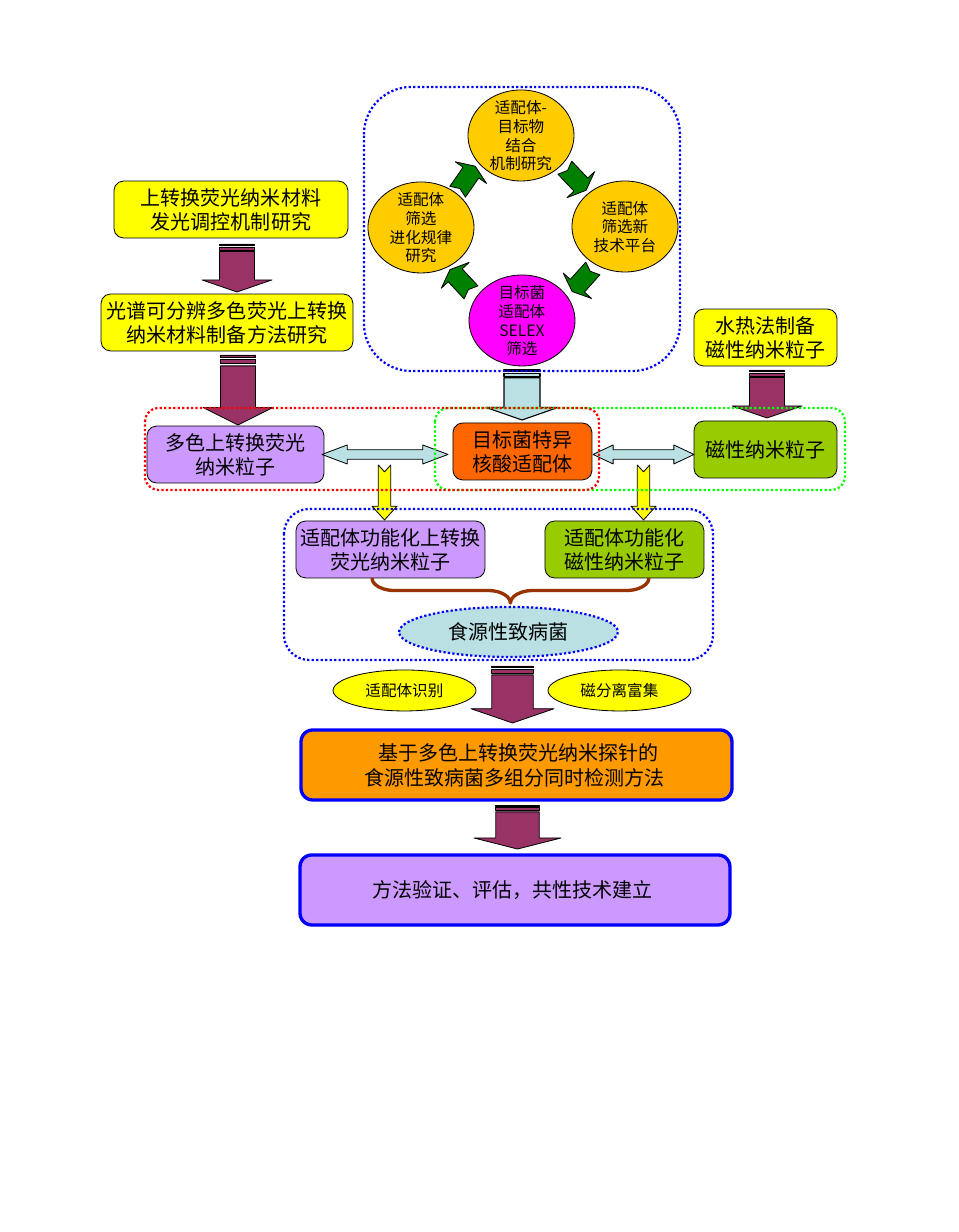
from pptx import Presentation
from pptx.dml.color import RGBColor
from pptx.enum.dml import MSO_LINE
from pptx.enum.shapes import MSO_SHAPE
from pptx.enum.text import MSO_ANCHOR, PP_ALIGN
from pptx.util import Emu, Pt

ROUND_BOX, OVAL = MSO_SHAPE.ROUNDED_RECTANGLE, MSO_SHAPE.OVAL
STRIPED, NOTCHED = MSO_SHAPE.STRIPED_RIGHT_ARROW, MSO_SHAPE.NOTCHED_RIGHT_ARROW
DOUBLE_ARROW, BRACE = MSO_SHAPE.LEFT_RIGHT_ARROW, MSO_SHAPE.LEFT_BRACE
DOTTED = MSO_LINE.ROUND_DOT
CENTER, MIDDLE = PP_ALIGN.CENTER, MSO_ANCHOR.MIDDLE

FONT = "Noto Sans CJK SC"
EMU_PER_PIXEL = 914400 / 80.1
SLIDE_SIZE = (959, 1232)
BLACK, BLUE, RED, LIME = "000000", "0000FF", "FF0000", "00FF00"
YELLOW, GOLD, ORANGE, DEEP_ORANGE = "FFFF00", "FFCC00", "FF9900", "FF6600"
LILAC, MAGENTA, PLUM, BROWN = "CC99FF", "FF00FF", "993366", "993300"
OLIVE, GREEN, PALE_BLUE = "99CC00", "008000", "BBE0E3"
THIN, MEDIUM, THICK = 0.74, 2, 3

CYCLE_SIZE, BOX_HEIGHT, LABEL_SIZE, RESULT_HEIGHT = (106, 91), 57, (143, 41), 70
CYCLE_ARROW_SIZE, MERGE_ARROW_SIZE = (31, 38), (25, 55)

# left, top, fill, text
CYCLE_STEPS = [
    (572, 181, GOLD, "适配体\n筛选新\n技术平台"),
    (469, 275, MAGENTA, "目标菌\n适配体\nSELEX\n筛选"),
    (368, 182, GOLD, "适配体\n筛选\n进化规律\n研究"),
    (468, 90, GOLD, "适配体-\n目标物\n结合\n机制研究"),
]
LABELS = [
    (548, 670, YELLOW, "磁分离富集"),
    (333, 670, YELLOW, "适配体识别"),
]
# left, top, width, fill, text
BOXES = [
    (453, 423, 139, DEEP_ORANGE, "目标菌特异\n核酸适配体"),
    (694, 421, 143, OLIVE, "磁性纳米粒子"),
    (545, 521, 159, OLIVE, "适配体功能化\n磁性纳米粒子"),
    (296, 521, 189, LILAC, "适配体功能化上转换\n荧光纳米粒子"),
    (147, 426, 177, LILAC, "多色上转换荧光\n纳米粒子"),
    (114, 181, 234, YELLOW, "上转换荧光纳米材料\n发光调控机制研究"),
    (101, 294, 252, YELLOW, "光谱可分辨多色荧光上转换\n纳米材料制备方法研究"),
    (694, 309, 143, YELLOW, "水热法制备\n磁性纳米粒子"),
]
RESULTS = [
    (301, 730, 431, ORANGE, " 基于多色上转换荧光纳米探针的\n食源性致病菌多组分同时检测方法 "),
    (300, 855, 430, LILAC, "方法验证、评估，共性技术建立 "),
]
PATHOGEN = ((399, 607, 219, 50), "食源性致病菌")
# left, top, rotation
CYCLE_ARROWS = [(560, 160, 46.7), (445, 262, 227.2), (567, 261, 131.9), (451, 160, 304.7)]
# box as seen on the slide, fill, line width
STEP_ARROWS = [
    ((486, 370, 72, 50), PALE_BLUE, 1),
    ((471, 666, 83, 57), PLUM, THIN),
    ((474, 805, 87, 44), PLUM, THIN),
    ((202, 244, 70, 48), PLUM, THIN),
    ((203, 355, 70, 70), PLUM, THIN),
    ((732, 370, 70, 48), PLUM, THIN),
]
MERGE_ARROWS = [(372, 465), (631, 465)]
# box, head length relative to height
LINK_ARROWS = [((593, 445, 101, 19), 1.06), ((322, 445, 126, 19), 1.33)]
BRACE_BOX = (372, 578, 277, 25)
FRAMES = [
    ((364, 87, 316, 284), BLUE),
    ((435, 408, 410, 82), LIME),
    ((284, 509, 429, 151), BLUE),
    ((145, 408, 454, 82), RED),
]


def pixels(value):
    """Turn pixels into EMU."""
    return Emu(round(value * EMU_PER_PIXEL))


def color(hex_string):
    """Turn a hex string into a colour."""
    return RGBColor.from_string(hex_string)


def add_part(kind, box, fill=None, line=BLACK, weight=THIN, dash=None,
             adjustments=(), rotation=0):
    """Add a preset shape with its fill, outline and rotation."""
    shape = slide.shapes.add_shape(kind, *map(pixels, box))
    shape.shadow.inherit = False
    shape.rotation = rotation
    for index, value in enumerate(adjustments):
        shape.adjustments[index] = value
    if fill:
        shape.fill.solid()
        shape.fill.fore_color.rgb = color(fill)
    else:
        shape.fill.background()
    shape.line.color.rgb = color(line)
    shape.line.width = Pt(weight)
    if dash:
        shape.line.dash_style = dash
    return shape


def add_turned(kind, box, rotation, **style):
    """Add a shape turned a quarter so that it fills the given box."""
    left, top, width, height = box
    shift = (width - height) / 2
    return add_part(kind, (left + shift, top - shift, height, width),
                    rotation=rotation, **style)


def write(shape, text, size=18):
    """Put centred black lines of text into a shape."""
    frame = shape.text_frame
    frame.text = text
    frame.word_wrap = False
    frame.vertical_anchor = MIDDLE
    for paragraph in frame.paragraphs:
        paragraph.alignment = CENTER
        for run in paragraph.runs:
            run.font.size = Pt(size)
            run.font.name = FONT
            run.font.color.rgb = color(BLACK)
            properties = run.font._element
            east_asian = properties.makeelement(
                properties.tag.replace("rPr", "ea"), {"typeface": FONT})
            properties.append(east_asian)


presentation = Presentation()
presentation.slide_width, presentation.slide_height = map(pixels, SLIDE_SIZE)
slide = presentation.slides.add_slide(presentation.slide_layouts[6])

for items, size in ((CYCLE_STEPS, CYCLE_SIZE), (LABELS, LABEL_SIZE)):
    for left, top, fill, text in items:
        write(add_part(OVAL, (left, top, *size), fill), text, 14)

for items, height, style in (
        (BOXES, BOX_HEIGHT, {}),
        (RESULTS, RESULT_HEIGHT, {"line": BLUE, "weight": THICK})):
    for left, top, width, fill, text in items:
        write(add_part(ROUND_BOX, (left, top, width, height), fill, **style), text)

pathogen_box, pathogen_text = PATHOGEN
write(add_part(OVAL, pathogen_box, PALE_BLUE, BLUE, MEDIUM, DOTTED), pathogen_text)

for left, top, rotation in CYCLE_ARROWS:
    add_part(NOTCHED, (left, top, *CYCLE_ARROW_SIZE), GREEN,
             adjustments=(0.5, 0.25), rotation=rotation)
for box, fill, weight in STEP_ARROWS:
    add_turned(STRIPED, box, 90, fill=fill, weight=weight, adjustments=(0.5, 0.25))
for left, top in MERGE_ARROWS:
    add_turned(NOTCHED, (left, top, *MERGE_ARROW_SIZE), 90, fill=YELLOW,
               adjustments=(0.5, 0.55))
for box, head in LINK_ARROWS:
    add_part(DOUBLE_ARROW, box, PALE_BLUE, adjustments=(0.5, head))
add_turned(BRACE, BRACE_BOX, 270, line=BROWN, weight=THICK, adjustments=(0.9, 0.5))

for box, line in FRAMES:
    add_part(ROUND_BOX, box, line=line, weight=MEDIUM, dash=DOTTED)

presentation.save("out.pptx")
